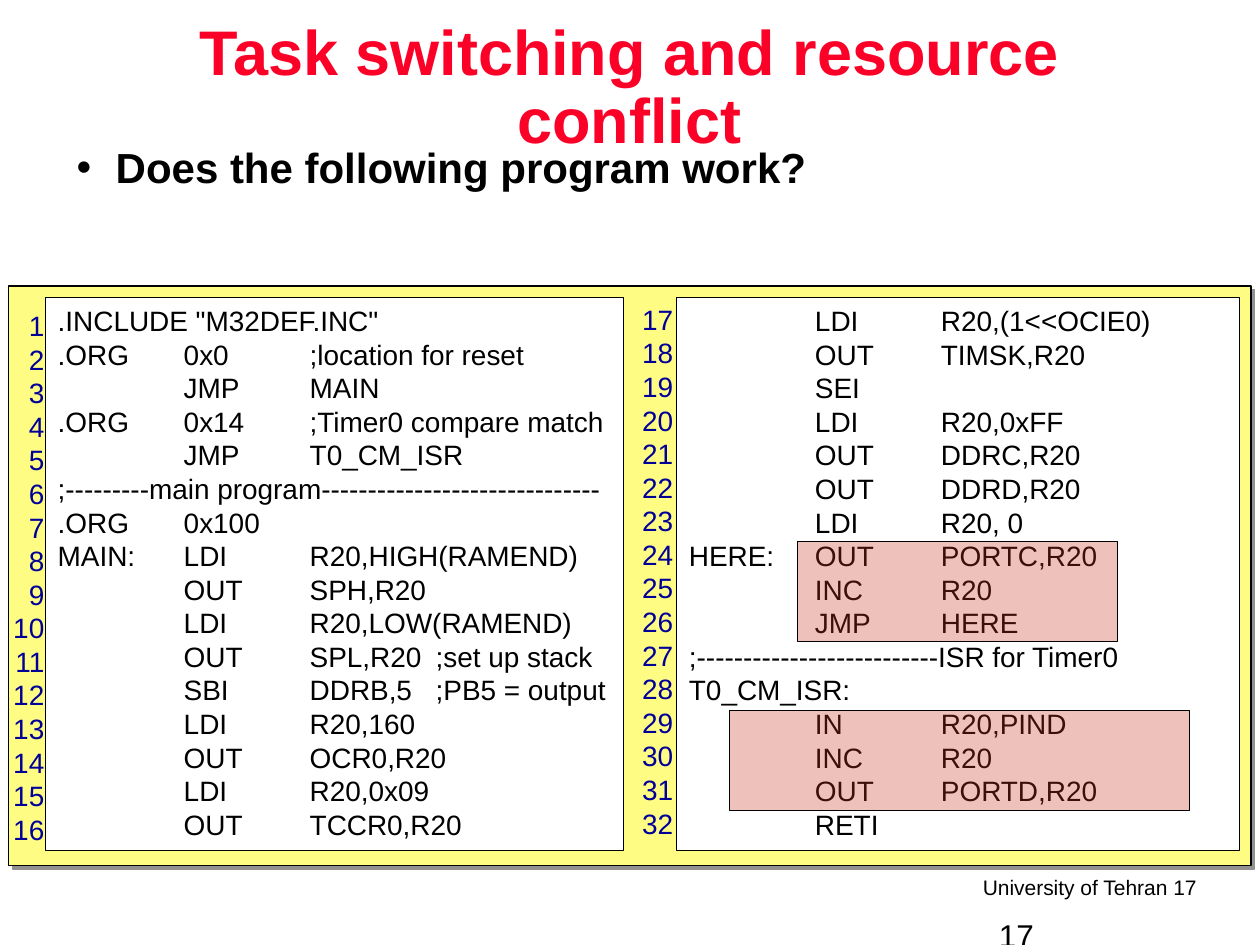
from lxml import etree
from pptx import Presentation
from pptx.dml.color import RGBColor
from pptx.enum.shapes import MSO_SHAPE
from pptx.enum.text import MSO_ANCHOR, PP_ALIGN
from pptx.oxml.ns import qn
from pptx.util import Inches, Pt

RECTANGLE = MSO_SHAPE.RECTANGLE
TOP, MIDDLE = MSO_ANCHOR.TOP, MSO_ANCHOR.MIDDLE
LEFT, CENTER, RIGHT = PP_ALIGN.LEFT, PP_ALIGN.CENTER, PP_ALIGN.RIGHT

MAIN_CODE = [
    '.INCLUDE "M32DEF.INC"',
    ".ORG\t0x0\t;location for reset",
    "\tJMP\tMAIN",
    ".ORG\t0x14\t;Timer0 compare match",
    "\tJMP\tT0_CM_ISR",
    ";---------main program------------------------------",
    ".ORG\t0x100",
    "MAIN:\tLDI\tR20,HIGH(RAMEND)",
    "\tOUT\tSPH,R20",
    "\tLDI\tR20,LOW(RAMEND)",
    "\tOUT\tSPL,R20\t;set up stack",
    "\tSBI\tDDRB,5\t;PB5 = output",
    "\tLDI\tR20,160",
    "\tOUT\tOCR0,R20",
    "\tLDI\tR20,0x09",
    "\tOUT\tTCCR0,R20",
]
ISR_CODE = [
    "\tLDI\tR20,(1<<OCIE0)",
    "\tOUT\tTIMSK,R20",
    "\tSEI",
    "\tLDI\tR20,0xFF",
    "\tOUT\tDDRC,R20",
    "\tOUT\tDDRD,R20",
    "\tLDI\tR20, 0",
    "HERE:\tOUT\tPORTC,R20",
    "\tINC\tR20",
    "\tJMP\tHERE",
    ";--------------------------ISR for Timer0",
    "T0_CM_ISR:",
    "\tIN\tR20,PIND",
    "\tINC\tR20",
    "\tOUT\tPORTD,R20",
    "\tRETI",
]


def color(value):
    return RGBColor.from_string(value)


def write_text(frame, lines, size=16, ink="000000", bold=False, align=LEFT,
               anchor=TOP, spacing=None, wrap=True, bullet=False, tabs=(),
               font="Arial"):
    frame.word_wrap = wrap
    frame.vertical_anchor = anchor
    frame.margin_left = frame.margin_right = Inches(0.1)
    frame.margin_top = frame.margin_bottom = Inches(0.05)
    for index, line in enumerate(lines):
        paragraph = frame.add_paragraph() if index else frame.paragraphs[0]
        paragraph.alignment = align
        if spacing:
            paragraph.line_spacing = spacing
        properties = paragraph._p.get_or_add_pPr()
        if bullet:
            properties.set("marL", str(Inches(0.31)))
            properties.set("indent", str(Inches(-0.31)))
            etree.SubElement(properties, qn("a:buFont"), typeface=font)
            etree.SubElement(properties, qn("a:buChar"), char="•")
        if tabs:
            tab_list = etree.SubElement(properties, qn("a:tabLst"))
            for stop in tabs:
                etree.SubElement(tab_list, qn("a:tab"), pos=str(Inches(stop)), algn="l")
        run = paragraph.add_run()
        run.text = line
        run.font.name = font
        run.font.size = Pt(size)
        run.font.bold = bold
        run.font.color.rgb = color(ink)


class SlideBuilder:
    line_color = "000000"
    line_width = 0.75
    code_tabs = (1, 2, 3)

    def __init__(self, presentation):
        self.slide = presentation.slides.add_slide(presentation.slide_layouts[5])

    def title(self, text, box, **style):
        title = self.slide.shapes.title
        title.left, title.top, title.width, title.height = map(Inches, box)
        write_text(title.text_frame, [text], **style)

    def text(self, lines, box, **style):
        shape = self.slide.shapes.add_textbox(*map(Inches, box))
        write_text(shape.text_frame, lines, **style)

    def rectangle(self, box, fill):
        shape = self.slide.shapes.add_shape(RECTANGLE, *map(Inches, box))
        shape.shadow.inherit = False
        shape.fill.solid()
        shape.fill.fore_color.rgb = color(fill)
        shape.line.color.rgb = color(self.line_color)
        shape.line.width = Pt(self.line_width)
        return shape

    def panel(self, box, fill, shadow):
        shape = self.rectangle(box, fill)
        effects = shape._element.spPr.find(qn("a:effectLst"))
        outer = etree.SubElement(effects, qn("a:outerShdw"), dist=str(Pt(2.8)),
                                 dir="2700000", algn="ctr", rotWithShape="0")
        etree.SubElement(outer, qn("a:srgbClr"), val=shadow)

    def highlight(self, box, fill, opacity):
        shape = self.rectangle(box, fill)
        fill_color = shape._element.spPr.find(qn("a:solidFill"))[0]
        etree.SubElement(fill_color, qn("a:alpha"), val=str(opacity * 1000))

    def listing(self, lines, first, code_box, number_box):
        shape = self.rectangle(code_box, "FFFFFF")
        write_text(shape.text_frame, lines, tabs=self.code_tabs)
        numbers = [str(first + index) for index in range(len(lines))]
        self.text(numbers, number_box, ink="000099", align=RIGHT)


def main():
    presentation = Presentation()
    presentation.slide_width = Inches(10)
    presentation.slide_height = Inches(7.5)
    builder = SlideBuilder(presentation)

    builder.text(["University of Tehran 17"], (7.66, 6.89, 1.94, 0.3),
                 size=12, align=RIGHT, wrap=False)
    builder.text(["17"], (7.83, 7.22, 2.13, 0.28), size=18)
    builder.panel((0.07, 2.27, 9.86, 4.6), "FFFC84", "919191")
    builder.title("Task switching and resource conflict", (1.08, 0.08, 7.83, 1.25),
                  size=36, ink="FC0128", bold=True, align=CENTER, anchor=MIDDLE,
                  spacing=0.9)
    builder.text(["Does the following program work?"], (0.51, 1.12, 9.09, 0.63),
                 size=24, bold=True, spacing=0.9, bullet=True)

    builder.listing(MAIN_CODE, 1, (0.36, 2.36, 4.59, 4.39), (-0.09, 2.4, 0.54, 4.38))
    builder.listing(ISR_CODE, 17, (5.37, 2.36, 4.47, 4.39), (4.9, 2.35, 0.54, 4.38))
    for box in ((5.79, 5.64, 3.65, 0.79), (6.33, 4.3, 2.54, 0.79)):
        builder.highlight(box, "C9381B", 30)

    presentation.save("out.pptx")


if __name__ == "__main__":
    main()
